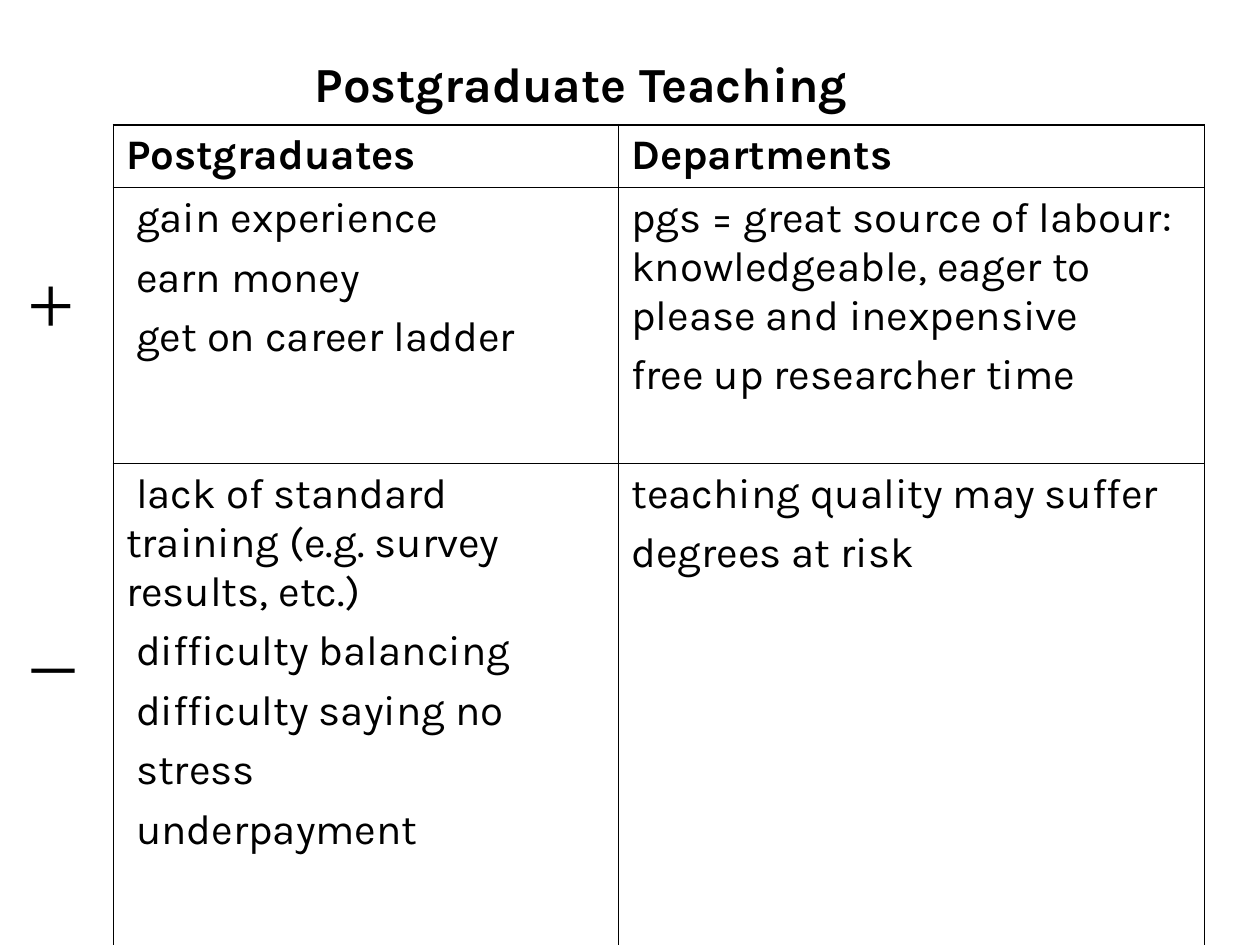
from dataclasses import dataclass

from lxml import etree
from pptx import Presentation
from pptx.dml.color import RGBColor
from pptx.enum.text import MSO_ANCHOR
from pptx.oxml.ns import qn
from pptx.util import Inches, Pt

TOP, MIDDLE = MSO_ANCHOR.TOP, MSO_ANCHOR.MIDDLE


@dataclass(frozen=True)
class Theme:
    ink: str = "000000"
    body_font: str = "Karla"
    sign_font: str = "Times New Roman"
    title_size: int = 28
    body_size: int = 24
    sign_size: int = 48
    paragraph_gap: int = 6
    first_line_indent: float = 0.08
    outer_line: float = 1.08
    inner_line: float = 0.45


class SlideBuilder:
    def __init__(self, slide, theme):
        self.slide = slide
        self.theme = theme

    def style(self, para, size, font, bold=False):
        para.font.size = Pt(size)
        para.font.name = font
        para.font.bold = bold
        para.font.color.rgb = RGBColor.from_string(self.theme.ink)

    def text(self, words, left, top, width, height, size, font, bold=False, anchor=TOP):
        box = self.slide.shapes.add_textbox(
            Inches(left), Inches(top), Inches(width), Inches(height))
        frame = box.text_frame
        frame.word_wrap = True
        frame.vertical_anchor = anchor
        para = frame.paragraphs[0]
        para.text = words
        self.style(para, size, font, bold)

    def border(self, cell, side, width):
        properties = cell._tc.get_or_add_tcPr()
        line = etree.SubElement(properties, qn(f"a:ln{side}"), w=str(Pt(width)))
        fill = etree.SubElement(line, qn("a:solidFill"))
        etree.SubElement(fill, qn("a:srgbClr"), val=self.theme.ink)

    def fill_cell(self, cell, lines, bold, indented):
        frame = cell.text_frame
        for index, words in enumerate(lines):
            para = frame.paragraphs[0] if index == 0 else frame.add_paragraph()
            para.text = words
            if index:
                para.space_before = Pt(self.theme.paragraph_gap)
            if indented:
                properties = para._p.get_or_add_pPr()
                properties.set("marL", "0")
                properties.set("indent", str(Inches(self.theme.first_line_indent)))
            self.style(para, self.theme.body_size, self.theme.body_font, bold)

    def table(self, rows, left, top, widths, heights):
        table = self.slide.shapes.add_table(
            len(rows), len(widths), Inches(left), Inches(top),
            Inches(sum(widths)), Inches(sum(heights))).table
        table.first_row = table.horz_banding = False
        for column, width in zip(table.columns, widths):
            column.width = Inches(width)
        last_row, last_column = len(rows) - 1, len(widths) - 1
        for r, row in enumerate(rows):
            table.rows[r].height = Inches(heights[r])
            for c, lines in enumerate(row):
                cell = table.cell(r, c)
                self.fill_cell(cell, lines, bold=r == 0, indented=r > 0 and c == 0)
                # Heavy lines outside, thin lines inside; borders precede the fill
                edges = {"L": c == 0, "R": c == last_column,
                         "T": r == 0, "B": r == last_row}
                for side, is_outer in edges.items():
                    self.border(cell, side, self.theme.outer_line if is_outer
                                else self.theme.inner_line)
                cell.fill.background()


def main():
    theme = Theme()
    deck = Presentation()
    deck.slide_width, deck.slide_height = Inches(10), Inches(7.5)
    page = SlideBuilder(deck.slides.add_slide(deck.slide_layouts[6]), theme)

    # Title
    page.text("Postgraduate Teaching", 2.4, 0.36, 6.53, 0.6,
              theme.title_size, theme.body_font, bold=True, anchor=MIDDLE)

    # Benefits and drawbacks for each group
    rows = [
        (["Postgraduates"], ["Departments"]),
        (["gain experience", "earn money", "get on career ladder"],
         ["pgs = great source of labour: knowledgeable, eager to please and inexpensive",
          "free up researcher time"]),
        (["lack of standard training (e.g. survey results, etc.)",
          "difficulty balancing", "difficulty saying no", "stress", "underpayment"],
         ["teaching quality may suffer", "degrees at risk"]),
    ]
    page.table(rows, 0.9, 0.99, widths=(4.01, 4.65), heights=(0.5, 2.19, 4.2))

    # Plus and minus signs beside the rows
    for sign, left, top in (("+", 0.12, 1.94), ("_", 0.16, 4.54)):
        page.text(sign, left, top, 0.83, 0.9, theme.sign_size, theme.sign_font)

    deck.save("out.pptx")


if __name__ == "__main__":
    main()
